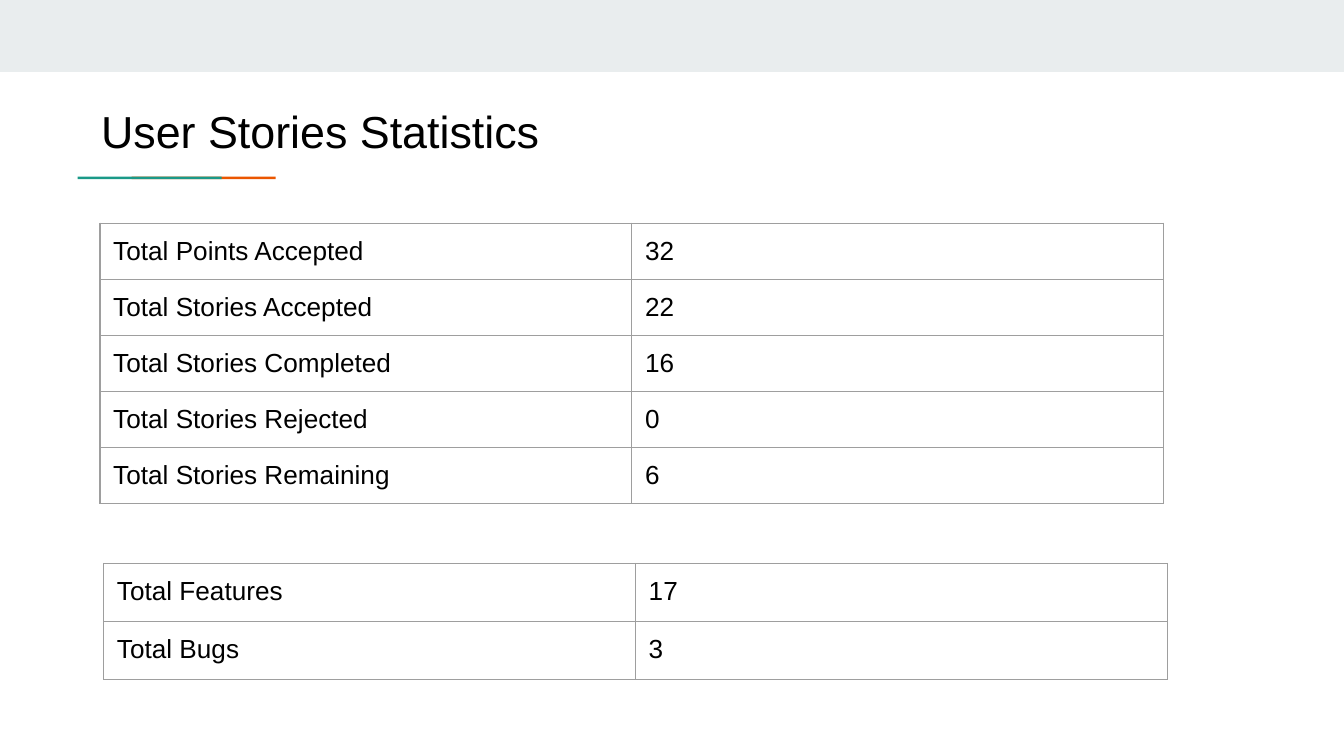
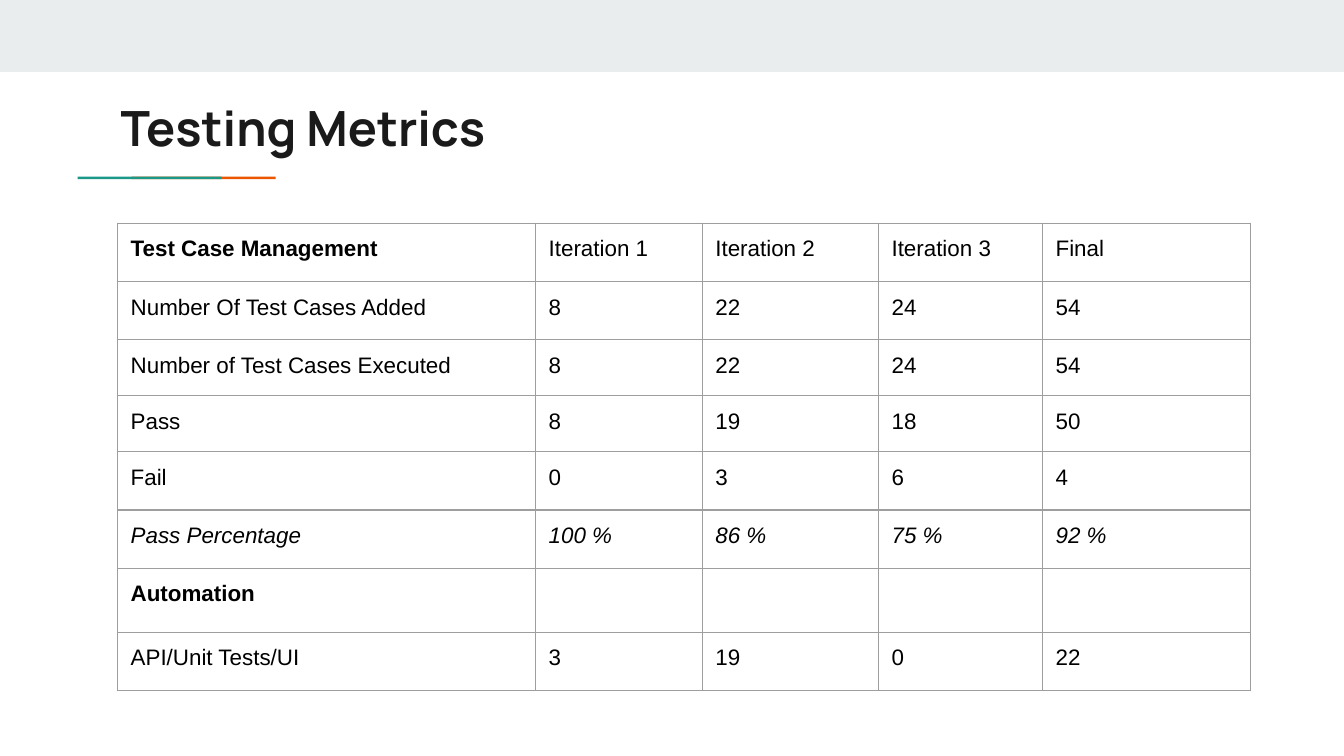
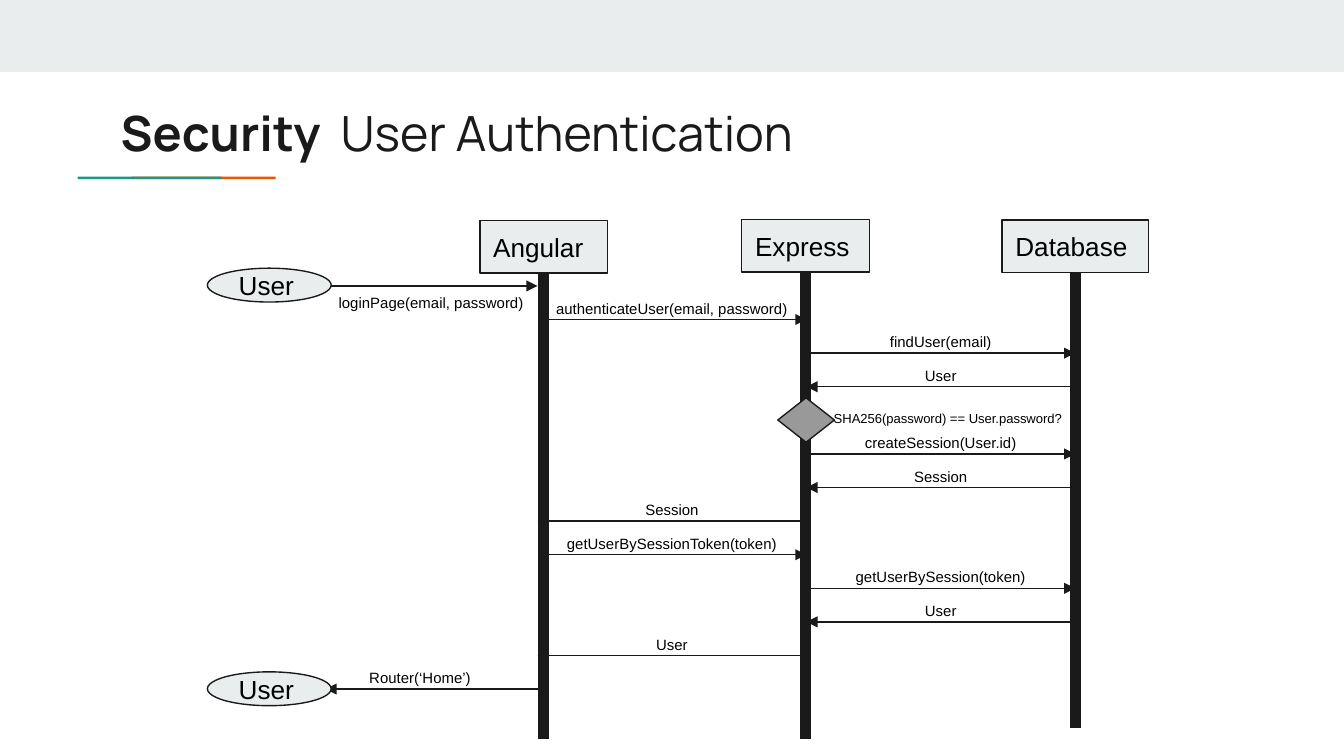
from lxml import etree
from pptx import Presentation
from pptx.dml.color import RGBColor
from pptx.enum.shapes import MSO_CONNECTOR, MSO_SHAPE
from pptx.enum.text import MSO_ANCHOR, MSO_AUTO_SIZE, PP_ALIGN
from pptx.oxml.ns import qn
from pptx.util import Cm, Pt

STRAIGHT = MSO_CONNECTOR.STRAIGHT
RECTANGLE = MSO_SHAPE.RECTANGLE
ELLIPSE = MSO_SHAPE.OVAL
DIAMOND = MSO_SHAPE.DIAMOND
TOP = MSO_ANCHOR.TOP
MIDDLE = MSO_ANCHOR.MIDDLE
LEFT = PP_ALIGN.LEFT
CENTER = PP_ALIGN.CENTER
RIGHT = PP_ALIGN.RIGHT
NO_FIT = MSO_AUTO_SIZE.NONE

COLORS = {
    "band": "E9EDEE",
    "teal": "1A9988",
    "orange": "EB5600",
    "black": "000000",
    "ink": "1A1A1A",
    "border": "9E9E9E",
    "diamond": "999999",
}
INSET = Cm(0.25)


def style_text(frame, size, align=LEFT, anchor=TOP, font="Arial", color="black"):
    frame.word_wrap = True
    frame.auto_size = NO_FIT
    frame.vertical_anchor = anchor
    frame.margin_left = frame.margin_right = INSET
    frame.margin_top = frame.margin_bottom = INSET
    for para in frame.paragraphs:
        para.alignment = align
        for span in para.runs:
            span.font.size = Pt(size)
            span.font.name = font
            span.font.color.rgb = RGBColor.from_string(COLORS[color])


def add_line(page, start, end, width, arrow=False):
    line = page.shapes.add_connector(STRAIGHT, *map(Cm, start + end))
    line.line.color.rgb = RGBColor.from_string(COLORS["ink"])
    line.line.width = Pt(width)
    if arrow:
        etree.SubElement(line.line._get_or_add_ln(), qn("a:tailEnd"), type="triangle")
    etree.SubElement(line.element.spPr, qn("a:effectLst"))
    return line


deck = Presentation()
deck.slide_width = Cm(25.4)
deck.slide_height = Cm(14.29)
layout = deck.slide_layouts[5]

security_parts = [("Security", True), (" ", True), ("User Authentication", False)]
titles = [
    (1.66, 1.71, 24, "Arial", "black", [("User Stories Statistics", False)]),
    (2.03, 1.6, 26, "Manrope", "ink", [("Testing Metrics", True)]),
    (2.03, 1.7, 26, "Manrope", "ink", security_parts),
]
pages = []
for left, top, size, font, color, parts in titles:
    page = deck.slides.add_slide(layout)
    title = page.shapes.title
    title.left, title.top, title.width, title.height = map(Cm, (left, top, 21.36, 1.5))
    for text, bold in parts:
        span = title.text_frame.paragraphs[0].add_run()
        span.text = text
        span.font.bold = bold
        if text == " ":
            span.font._element.set("spc", "540")
    style_text(title.text_frame, size, font=font, color=color)
    pages.append(page)
stories_page, testing_page, security_page = pages

bands = [
    ("band", 0, 0, 25.4, 1.36),
    ("orange", 2.49, 3.34, 2.72, 0.05),
    ("teal", 1.47, 3.34, 2.72, 0.05),
]
for position, (color, *place) in enumerate(bands, start=2):
    band = stories_page.shapes.add_shape(RECTANGLE, *map(Cm, place))
    band.shadow.inherit = False
    band.fill.solid()
    band.fill.fore_color.rgb = RGBColor.from_string(COLORS[color])
    band.line.fill.background()
    layout.shapes.element.insert(position, band.element)

story_rows = [
    ("Total Points Accepted", "32"),
    ("Total Stories Accepted", "22"),
    ("Total Stories Completed", "16"),
    ("Total Stories Rejected", "0"),
    ("Total Stories Remaining", "6"),
]
kind_rows = [("Total Features", "17"), ("Total Bugs", "3")]
test_rows = [
    ("Test Case Management", "Iteration 1", "Iteration 2", "Iteration 3", "Final"),
    ("Number Of Test Cases Added", "8", "22", "24", "54"),
    ("Number of Test Cases Executed", "8", "22", "24", "54"),
    ("Pass", "8", "19", "18", "50"),
    ("Fail", "0", "3", "6", "4"),
    ("Pass Percentage", "100 %", "86 %", "75 %", "92 %"),
    ("Automation", "", "", "", ""),
    ("API/Unit Tests/UI", "3", "19", "0", "22"),
]
bold_cells = ("Test Case Management", "Automation")
italic_rows = ("Pass Percentage",)
low_rows = ("Number of Test Cases Executed", "Pass")

tables = [
    (stories_page, 1.89, 4.22, (10.05, 10.05), 1.06, 14, story_rows),
    (stories_page, 1.96, 10.65, (10.05, 10.05), 1.1, 14, kind_rows),
    (testing_page, 2.22, 4.22, (7.9, 3.15, 3.33, 3.1, 3.94), 1.1, 12, test_rows),
]
for page, left, top, widths, height, size, rows in tables:
    table = page.shapes.add_table(
        len(rows), len(widths), Cm(left), Cm(top), Cm(sum(widths)), Cm(height * len(rows))
    ).table
    table.first_row = False
    table.horz_banding = False
    for column, width in zip(table.columns, widths):
        column.width = Cm(width)
    for row, values in zip(table.rows, rows):
        row.height = Cm(1.06 if values[0] in low_rows else height)
        for cell, value in zip(row.cells, values):
            cell.margin_left = cell.margin_right = INSET
            cell.margin_top = cell.margin_bottom = INSET
            properties = cell._tc.get_or_add_tcPr()
            for side in ("a:lnL", "a:lnR", "a:lnT", "a:lnB"):
                edge = etree.SubElement(properties, qn(side), w=str(Pt(0.75)))
                fill = etree.SubElement(edge, qn("a:solidFill"))
                etree.SubElement(fill, qn("a:srgbClr"), val=COLORS["border"])
            cell.fill.background()
            para = cell.text_frame.paragraphs[0]
            if value:
                para.text = value
                span = para.runs[0]
                span.font.size = Pt(size)
                span.font.name = "Arial"
                span.font.color.rgb = RGBColor.from_string(COLORS["black"])
                span.font.bold = value in bold_cells
                span.font.italic = values[0] in italic_rows
            else:
                ending = etree.SubElement(para._p, qn("a:endParaRPr"), sz="1800")
                etree.SubElement(ending, qn("a:latin"), typeface="Arial")

lanes = {"User": 6.15, "Angular": 10.16, "Express": 15.24, "Database": 20.32}
first_row = 6.04
row_step = 1.27 / 2

messages = [
    ("Angular", "Express", 0, "authenticateUser(email, password)"),
    ("Express", "Database", 1, "findUser(email)"),
    ("Database", "Express", 2, "User"),
    ("Express", "Database", 4, "createSession(User.id)"),
    ("Database", "Express", 5, "Session"),
    ("Express", "Angular", 6, "Session"),
    ("Angular", "Express", 7, "getUserBySessionToken(token)"),
    ("Express", "Database", 8, "getUserBySession(token)"),
    ("Database", "Express", 9, "User"),
    ("Express", "Angular", 10, "User"),
]
labels = [
    (6.12, 10.18, first_row - row_step, "loginPage(email, password)", 8, CENTER, MIDDLE),
    (15.24, 20.32, 7.59, "SHA256(password) == User.password?", 7, RIGHT, MIDDLE),
    (5.72, 10.16, first_row + 10 * row_step, "Router(‘Home’)", 8, CENTER, TOP),
]
arrows = [("User", "Angular", -1), ("Angular", "User", 11)]
for sender, receiver, row, text in messages:
    start, end = sorted((lanes[sender], lanes[receiver]))
    labels.append((start, end, first_row + (row - 1) * row_step, text, 8, CENTER, TOP))
    arrows.append((sender, receiver, row))

nodes = [
    (RECTANGLE, 9.07, 4.17, 2.41, 0.99, "band", "Angular", 13.97),
    (RECTANGLE, 14.02, 4.15, 2.41, 0.99, "band", "Express", 13.97),
    (RECTANGLE, 18.94, 4.16, 2.77, 0.99, "band", "Database", 13.77),
    (DIAMOND, 14.7, 7.52, 1.07, 0.84, "diamond", "", None),
    (ELLIPSE, 3.92, 5.07, 2.34, 0.64, "band", "User", None),
    (ELLIPSE, 3.92, 12.7, 2.34, 0.64, "band", "User", None),
]
for sender, receiver, row in arrows:
    y = first_row + row * row_step
    add_line(security_page, (lanes[sender], y), (lanes[receiver], y), 0.75, arrow=True)

for kind, left, top, width, height, color, text, lifeline_end in nodes:
    node = security_page.shapes.add_shape(kind, *map(Cm, (left, top, width, height)))
    node.shadow.inherit = False
    node.fill.solid()
    node.fill.fore_color.rgb = RGBColor.from_string(COLORS[color])
    node.line.color.rgb = RGBColor.from_string(COLORS["ink"])
    node.line.width = Pt(0.75)
    if text:
        node.text_frame.text = text
        style_text(node.text_frame, 14, anchor=MIDDLE)
    if lifeline_end:
        x = left + width / 2
        lifeline = add_line(security_page, (x, top + height), (x, lifeline_end), 6)
        lifeline.begin_connect(node, 2)

for left, right, top, text, size, align, anchor in labels:
    label = security_page.shapes.add_textbox(Cm(left), Cm(top), Cm(right - left), Cm(row_step))
    label.text_frame.text = text
    style_text(label.text_frame, size, align, anchor)

deck.save("out.pptx")
